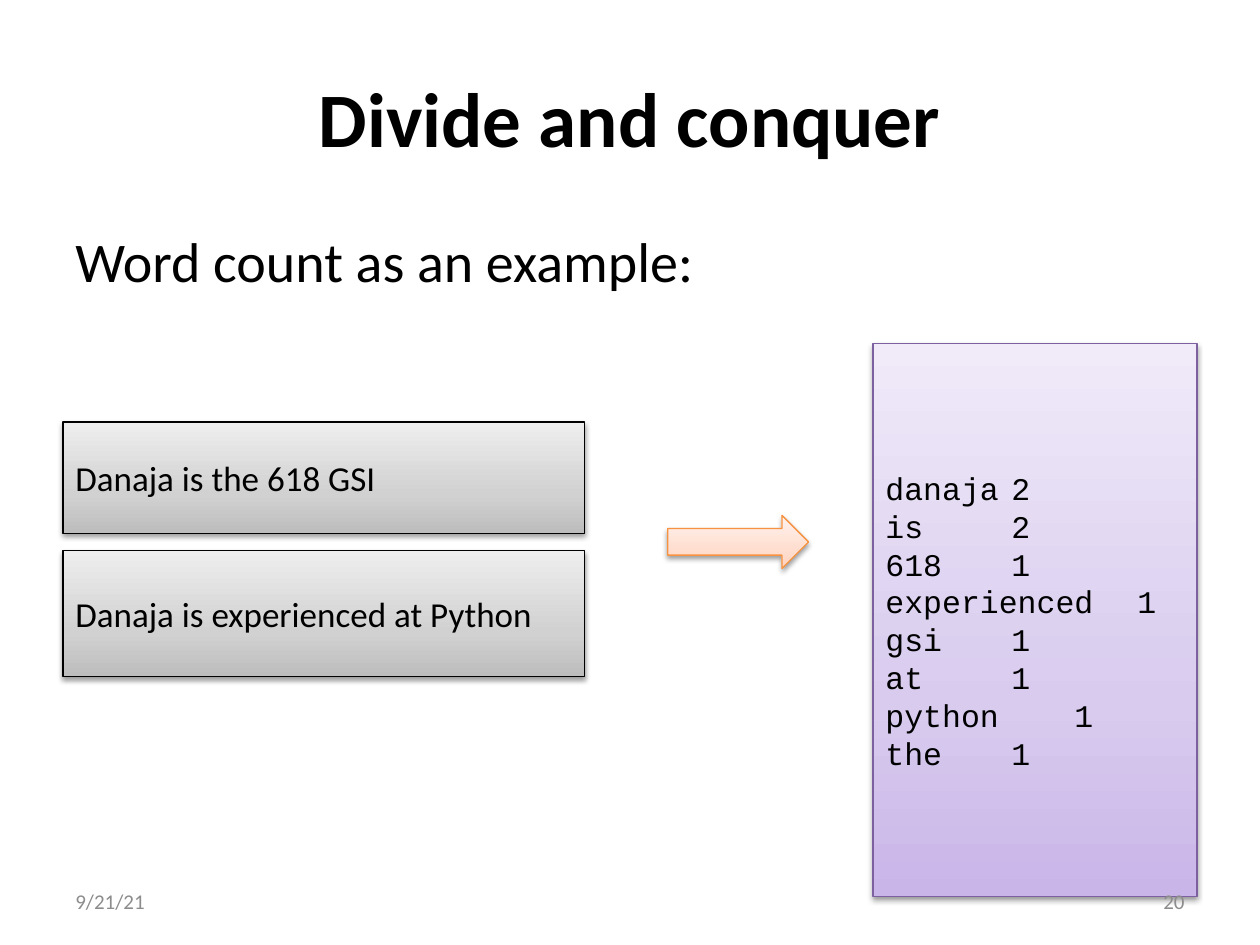
from copy import deepcopy

from lxml import etree
from pptx import Presentation
from pptx.dml.color import RGBColor
from pptx.enum.shapes import MSO_SHAPE
from pptx.enum.text import MSO_ANCHOR, PP_ALIGN
from pptx.oxml.ns import qn
from pptx.util import Cm, Pt

RECTANGLE, ARROW = MSO_SHAPE.RECTANGLE, MSO_SHAPE.RIGHT_ARROW
TOP, MIDDLE = MSO_ANCHOR.TOP, MSO_ANCHOR.MIDDLE
LEFT, CENTER, RIGHT = PP_ALIGN.LEFT, PP_ALIGN.CENTER, PP_ALIGN.RIGHT

COLORS = {"text": "000000", "footer": "8C8C8C", "shadow": "000000"}
LINES = {"gray": "000000", "purple": "7D60A0", "orange": "F69240"}
GRADIENTS = {
    "gray": ("BDBDBD", "D1D1D1", "EEEEEE"),
    "purple": ("C9B5E8", "D8CBEE", "F0EAF9"),
    "orange": ("FFD2BD", "FFDED0", "FFF2ED"),
}
STOP_POSITIONS = (0, 0.35, 1)

MARGIN = 1.27
CONTENT_WIDTH = 22.86
FOOTER_TOP, FOOTER_WIDTH, FOOTER_HEIGHT = 17.65, 5.92, 1.02

WORD_COUNTS = ["danaja\t2", "is\t\t2", "618\t\t1", "experienced\t1",
               "gsi\t\t1", "at \t\t1", "python\t\t1", "the\t\t1"]


class SlideBuilder:
    font = "Calibri"
    code_font = "Courier New"

    def __init__(self, slide):
        self.slide = slide

    def set_text(self, shape, lines, size, font=None, color="text", bold=False,
                 align=LEFT, anchor=MIDDLE):
        frame = shape.text_frame
        frame.word_wrap = True
        frame.vertical_anchor = anchor
        frame.text = "\n".join(lines)
        for paragraph in frame.paragraphs:
            paragraph.alignment = align
            paragraph.font.name = font or self.font
            paragraph.font.size = Pt(size)
            paragraph.font.bold = bold
            paragraph.font.color.rgb = RGBColor.from_string(COLORS[color])

    def text(self, left, top, width, height, text, size, **style):
        box = self.slide.shapes.add_textbox(Cm(left), Cm(top), Cm(width), Cm(height))
        self.set_text(box, [text], size, **style)
        return box

    def shape(self, kind, left, top, width, height, palette):
        shape = self.slide.shapes.add_shape(kind, Cm(left), Cm(top), Cm(width), Cm(height))
        shape.line.color.rgb = RGBColor.from_string(LINES[palette])
        shape.line.width = Pt(0.75)
        self.gradient(shape, GRADIENTS[palette])
        self.shadow(shape)
        return shape

    def gradient(self, shape, colors):
        """Fill from bottom to top with three colours."""
        shape.fill.gradient()
        shape.fill.gradient_angle = 90
        stop_list = shape._element.spPr.find(qn("a:gradFill")).find(qn("a:gsLst"))
        stop_list.insert(1, deepcopy(stop_list[0]))
        for stop, position, color in zip(shape.fill.gradient_stops, STOP_POSITIONS, colors):
            stop.position = position
            stop.color.rgb = RGBColor.from_string(color)

    def shadow(self, shape):
        """Put a soft shadow straight below the shape."""
        shape.shadow.inherit = False
        effects = shape._element.spPr.find(qn("a:effectLst"))
        outer = etree.SubElement(effects, qn("a:outerShdw"), blurRad=str(Pt(3.1)),
                                 dist=str(Pt(1.6)), dir="5400000", rotWithShape="0")
        color = etree.SubElement(outer, qn("a:srgbClr"), val=COLORS["shadow"])
        etree.SubElement(color, qn("a:alpha"), val="38000")


def main():
    presentation = Presentation()
    presentation.slide_width, presentation.slide_height = Cm(25.4), Cm(19.05)
    builder = SlideBuilder(presentation.slides.add_slide(presentation.slide_layouts[6]))

    builder.text(MARGIN, 0.76, CONTENT_WIDTH, 3.18, "Divide and conquer", 44,
                 bold=True, align=CENTER)
    body = builder.text(MARGIN, 4.45, CONTENT_WIDTH, 12.57,
                        "Word count as an example:", 32, anchor=TOP)
    body.text_frame.paragraphs[0].space_before = Pt(6.4)

    for top, height, sentence in ((8.51, 2.24, "Danaja is the 618 GSI"),
                                  (11.1, 2.54, "Danaja is experienced at Python")):
        box = builder.shape(RECTANGLE, MARGIN, top, 10.52, height, "gray")
        builder.set_text(box, [sentence], 20)

    counts = builder.shape(RECTANGLE, 17.6, 6.93, 6.53, 11.15, "purple")
    builder.set_text(counts, WORD_COUNTS, 18, font=builder.code_font)
    builder.shape(ARROW, 13.46, 10.39, 2.84, 1.07, "orange")

    footer_right = MARGIN + CONTENT_WIDTH - FOOTER_WIDTH
    for left, text, align in ((MARGIN, "9/21/21", LEFT), (footer_right, "20", RIGHT)):
        builder.text(left, FOOTER_TOP, FOOTER_WIDTH, FOOTER_HEIGHT, text, 12,
                     color="footer", align=align)

    presentation.save("out.pptx")


if __name__ == "__main__":
    main()
